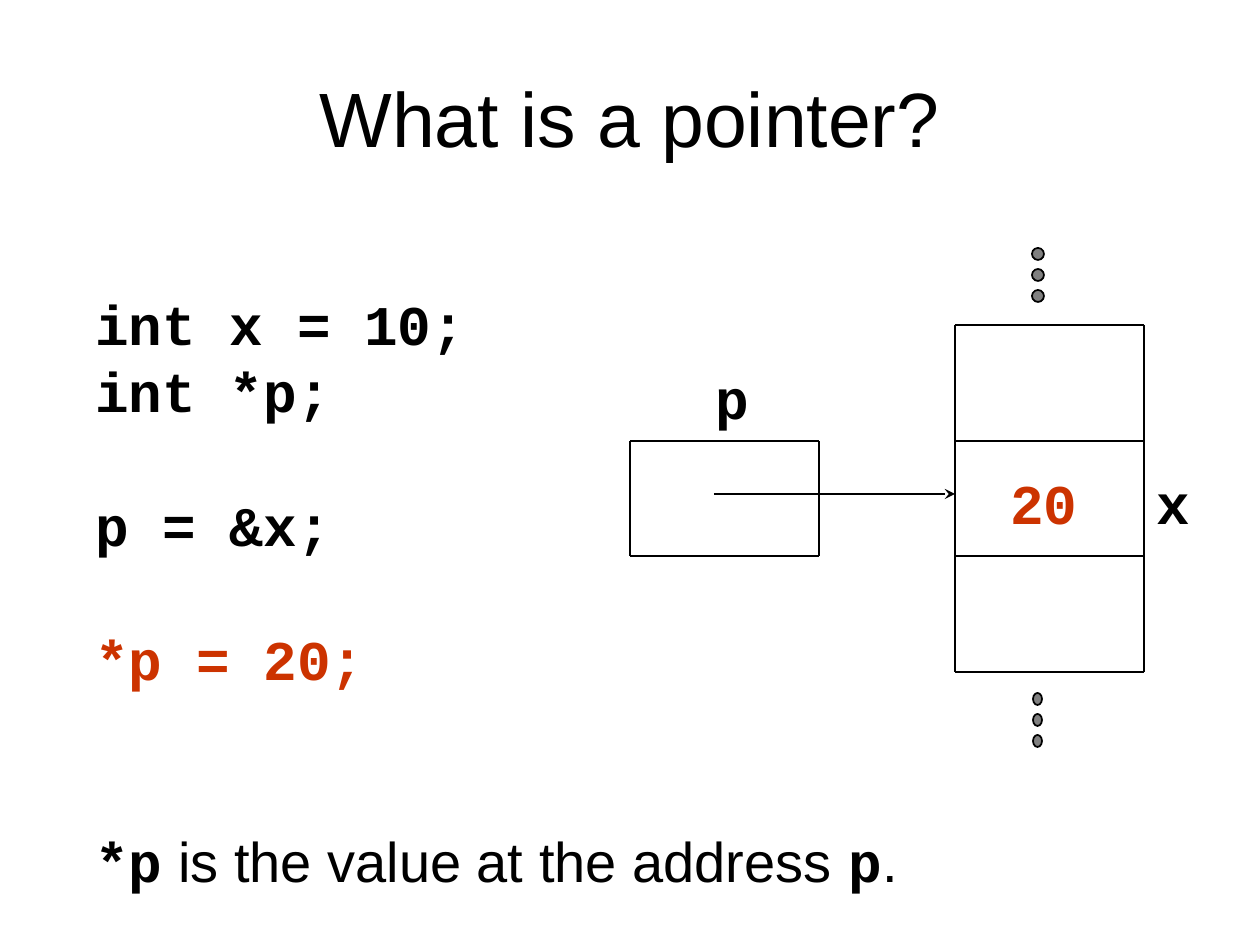
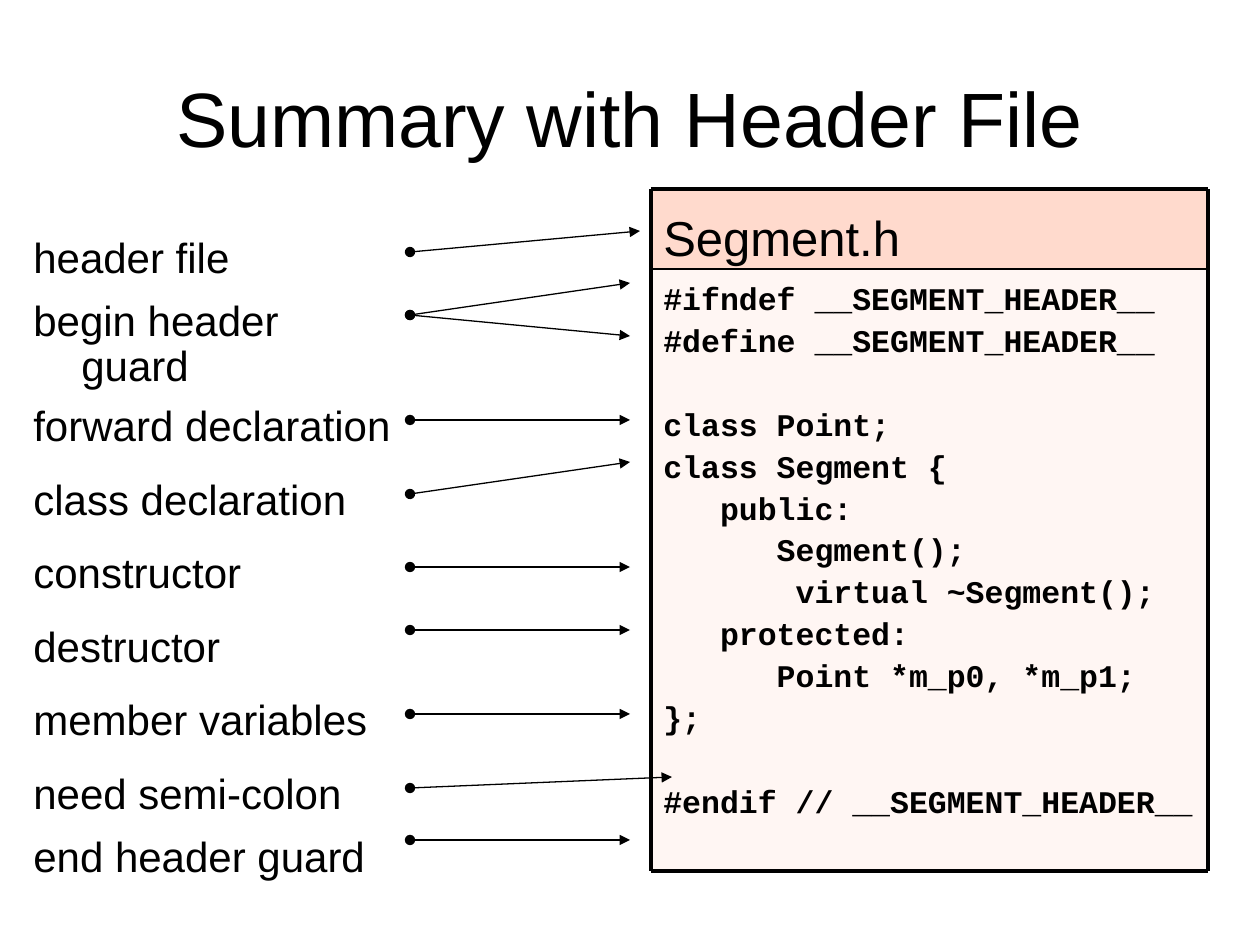
import pptx
import pptx.util
import pptx.dml.color
import pptx.enum.text
import pptx.enum.shapes
import pptx.oxml.ns
from lxml import etree

PX = 914400 / 126          # EMU in one px
SANS, MONO = "Arial", "Courier New"
BLACK, RED, GREY = "000000", "CC3300", "808080"
PALE, PEACH = "FFF6F3", "FFDACD"

# Content: pointer slide
CODE = [  # (blank lines above, runs)
    (0, [("int x = 10;", MONO, BLACK)]),
    (0, [("int *p;", MONO, BLACK)]),
    (1, [("p = &x;", MONO, BLACK)]),
    (1, [("*p = 20;", MONO, RED)]),
    (2, [("*p", MONO, BLACK), (" is the value at the address ", SANS, BLACK),
         ("p", MONO, BLACK), (".", SANS, BLACK)]),
]
TAGS = [("p", 703, 357, 59, BLACK), ("x", 1144, 462, 59, BLACK),
        ("20", 998, 462, 93, RED)]
DOTS = [(1032, 248, 12), (1033, 693, 9)]  # left, top, width of each trio

# Content: header file slide
FILE = [  # (blank lines above, code line)
    (0, "#ifndef __SEGMENT_HEADER__"),
    (0, "#define __SEGMENT_HEADER__"),
    (1, "class Point;"),
    (0, "class Segment {"),
    (0, "   public:"),
    (0, "      Segment();"),
    (0, "       virtual ~Segment();"),
    (0, "   protected:"),
    (0, "      Point *m_p0, *m_p1;"),
    (0, "};"),
    (1, "#endif // __SEGMENT_HEADER__"),
]
NOTES = [  # label, top, width, arrow start y, arrow ends
    ("header file", 231, 368, 252, [(640, 231)]),
    ("begin header guard", 294, 368, 315, [(630, 283), (630, 336)]),
    ("forward declaration", 399, 431, 420, [(630, 420)]),
    ("class declaration", 473, 431, 494, [(630, 462)]),
    ("constructor", 546, 431, 567, [(630, 567)]),
    ("destructor", 620, 431, 630, [(630, 630)]),
    ("member variables", 693, 431, 714, [(630, 714)]),
    ("need semi-colon", 767, 388, 788, [(672, 777)]),
    ("end header guard", 830, 368, 840, [(630, 840)]),
]

deck = pptx.Presentation()


def px(*nums):
    return [pptx.util.Emu(round(n * PX)) for n in nums]


def rgb(code):
    return pptx.dml.color.RGBColor.from_string(code)


deck.slide_width, deck.slide_height = px(1260, 945)


# Shared parts
def add_run(para, text, size, font=SANS, color=BLACK):
    run = para.add_run()
    run.text = text
    run.font.size = pptx.util.Pt(size)
    run.font.name = font
    run.font.bold = font == MONO
    run.font.color.rgb = rgb(color)


def next_para(frame, first):
    para = frame.paragraphs[0] if first else frame.add_paragraph()
    para.alignment = pptx.enum.text.PP_ALIGN.LEFT
    return para


def new_slide(title):
    slide = deck.slides.add_slide(deck.slide_layouts[5])
    head = slide.shapes.title
    head.left, head.top, head.width, head.height = px(63, 38, 1134, 157)
    frame = head.text_frame
    frame.auto_size = pptx.enum.text.MSO_AUTO_SIZE.NONE
    frame.vertical_anchor = pptx.enum.text.MSO_ANCHOR.MIDDLE
    frame.paragraphs[0].alignment = pptx.enum.text.PP_ALIGN.CENTER
    add_run(frame.paragraphs[0], title, 44)
    return slide


def text_box(slide, left, top, wide, high, wrap):
    frame = slide.shapes.add_textbox(*px(left, top, wide, high)).text_frame
    frame.word_wrap = wrap
    if not wrap:
        frame.auto_size = pptx.enum.text.MSO_AUTO_SIZE.SHAPE_TO_FIT_TEXT
    return frame


def add_line(slide, x1, y1, x2, y2, width=1, head=None, tail=None):
    kind = pptx.enum.shapes.MSO_CONNECTOR.STRAIGHT
    line = slide.shapes.add_connector(kind, *px(x1, y1, x2, y2))
    line.line.color.rgb = rgb(BLACK)
    line.line.width = pptx.util.Pt(width)
    stroke = line.line._get_or_add_ln()
    for tag, end in (("a:headEnd", head), ("a:tailEnd", tail)):
        if end:
            etree.SubElement(stroke, pptx.oxml.ns.qn(tag), type=end)
    etree.SubElement(line._element.spPr, pptx.oxml.ns.qn("a:effectLst"))


def add_shape(slide, kind, left, top, wide, high, fill):
    shape = slide.shapes.add_shape(kind, *px(left, top, wide, high))
    shape.shadow.inherit = False
    shape.fill.solid()
    shape.fill.fore_color.rgb = rgb(fill)
    shape.line.fill.background()
    return shape


def add_panel(slide, left, top, wide, high, fill, gap):
    kind = pptx.enum.shapes.MSO_SHAPE.RECTANGLE
    frame = add_shape(slide, kind, left, top, wide, high, fill).text_frame
    frame.word_wrap = True
    frame.vertical_anchor = pptx.enum.text.MSO_ANCHOR.TOP
    frame.margin_top = pptx.util.Pt(3.6 + gap)
    return frame


def add_cells(slide, left, right, rows):
    for y in rows:
        add_line(slide, left, y, right, y)
    for x in (left, right):
        add_line(slide, x, rows[0], x, rows[-1])


# Pointer slide
def draw_pointer():
    slide = new_slide("What is a pointer?")
    rows = [round(325 + 115.67 * i) for i in range(4)]
    add_cells(slide, 955, 1144, rows)
    add_cells(slide, 630, 819, rows[1:3])
    frame = text_box(slide, 83, 283, 828, 617, False)
    for i, (blanks, runs) in enumerate(CODE):
        para = next_para(frame, i == 0)
        if blanks:
            para.space_before = pptx.util.Pt(38.3 * blanks)
        for text, font, color in runs:
            add_run(para, text, 32, font, color)
    for text, left, top, wide, color in TAGS:
        frame = text_box(slide, left, top, wide, 79, False)
        add_run(next_para(frame, True), text, 32, MONO, color)
    add_line(slide, 714, 494, 955, 494, tail="stealth")
    for left, top, wide in DOTS:
        for i in range(3):
            dot = add_shape(slide, pptx.enum.shapes.MSO_SHAPE.OVAL,
                            left, top + 21 * i, wide, 12, GREY)
            dot.line.color.rgb = rgb(BLACK)
            dot.line.width = pptx.util.Pt(1)


# Header file slide
def draw_header():
    slide = new_slide("Summary with Header File")
    left, right, top, mid, base = 651, 1208, 189, 269, 871
    frame = add_panel(slide, left, mid, right - left, base - mid, PALE, 4.5)
    for i, (blanks, text) in enumerate(FILE):
        para = next_para(frame, i == 0)
        para.line_spacing = 0.9
        if i:
            para.space_before = pptx.util.Pt(4.5 + 24 * blanks)
        add_run(para, text, 18, MONO)
    frame = add_panel(slide, left, top, right - left, mid - top, PEACH, 7)
    add_run(next_para(frame, True), "Segment.h", 28)

    # Panel frame
    for y, width in ((top, 2), (mid, 1), (base, 2)):
        add_line(slide, left, y, right, y, width)
    for x in (left, right):
        add_line(slide, x, top, x, base, 2)

    # Labels and their arrows
    for text, y, wide, start, ends in NOTES:
        para = next_para(text_box(slide, 21, y, wide, 63, True), True)
        para.line_spacing = 0.9
        props = para._p.get_or_add_pPr()
        props.set("marL", str(px(48)[0]))
        props.set("indent", str(px(-48)[0]))
        add_run(para, text, 24)
        for end in ends:
            add_line(slide, 410, start, *end, 0.75, "oval", "triangle")


def main():
    draw_pointer()
    draw_header()
    deck.save("out.pptx")


if __name__ == "__main__":
    main()
